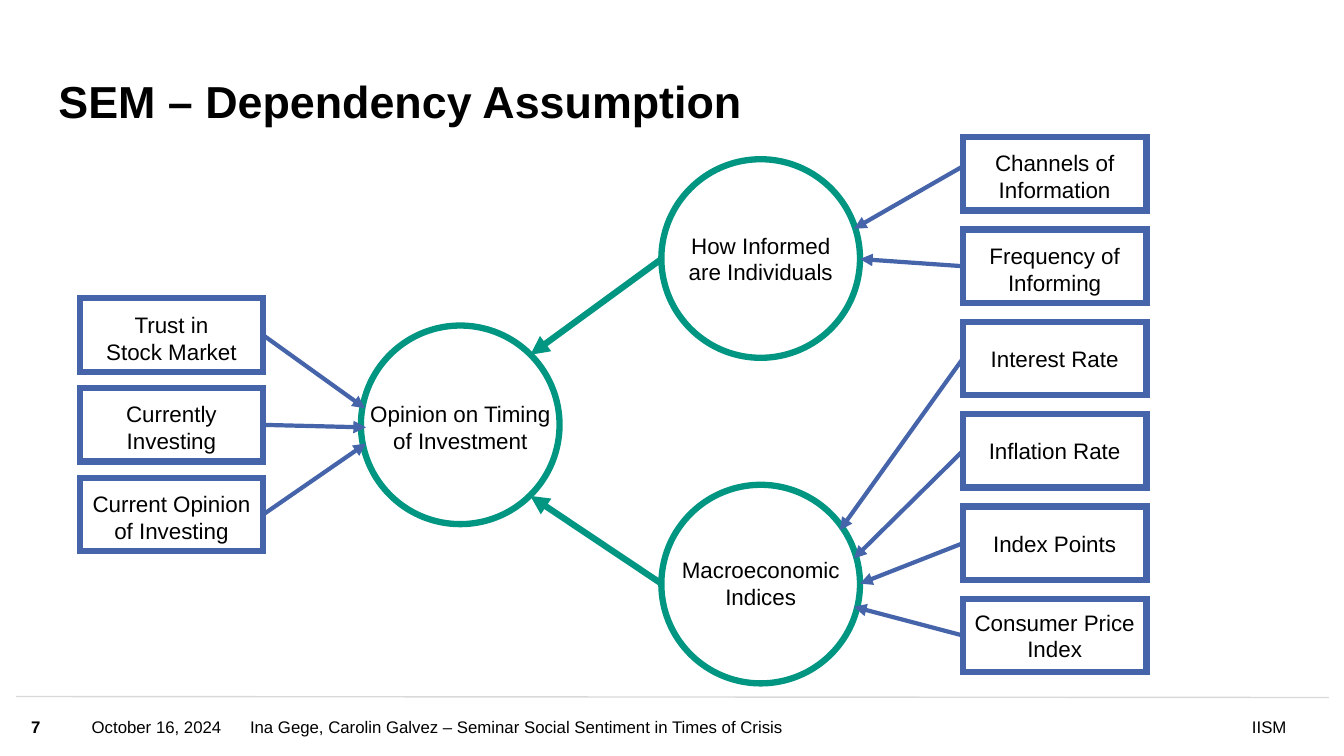
from lxml import etree
from pptx import Presentation
from pptx.dml.color import RGBColor
from pptx.enum.shapes import MSO_CONNECTOR, MSO_SHAPE
from pptx.enum.text import MSO_ANCHOR, PP_ALIGN
from pptx.oxml.ns import qn
from pptx.util import Inches, Pt

BLACK = RGBColor(0x00, 0x00, 0x00)
GREEN = RGBColor(0x00, 0x96, 0x82)
BLUE = RGBColor(0x46, 0x64, 0xAA)
GREY = RGBColor(0xD9, 0xD9, 0xD9)

BOX_WIDTH, BOX_HEIGHT = 1.82, 0.73
CIRCLE_SIZE = 1.97
LEFT_SIDE, RIGHT_SIDE = 1, 3

presentation = Presentation()
presentation.slide_width = Inches(13.33)
presentation.slide_height = Inches(7.5)
slide = presentation.slides.add_slide(presentation.slide_layouts[5])


def write(shape, text, size, align, anchor, margins, bold=False):
    """Fill a shape with one paragraph; margins are left, top, right, bottom."""
    frame = shape.text_frame
    frame.word_wrap = True
    frame.vertical_anchor = anchor
    (frame.margin_left, frame.margin_top,
     frame.margin_right, frame.margin_bottom) = map(Inches, margins)
    paragraph = frame.paragraphs[0]
    paragraph.alignment = align
    run = paragraph.add_run()
    run.text = text
    run.font.name = "Arial"
    run.font.size = Pt(size)
    run.font.bold = bold
    run.font.color.rgb = BLACK
    return paragraph


def add_line(start, end, color, width, arrow=True):
    line = slide.shapes.add_connector(
        MSO_CONNECTOR.STRAIGHT, *map(Inches, start + end))
    line.line.color.rgb = color
    line.line.width = Pt(width)
    if arrow:
        etree.SubElement(line.line._get_or_add_ln(), qn("a:tailEnd"), type="triangle")
    etree.SubElement(line._element.spPr, qn("a:effectLst"))
    return line


# Title
title = slide.shapes.title
title.left, title.top, title.width, title.height = map(
    Inches, (0.58, 0.43, 10.02, 0.84))
title_paragraph = write(title, "SEM – Dependency Assumption", 32, PP_ALIGN.LEFT,
                        MSO_ANCHOR.BOTTOM, (0, 0, 0, 0), bold=True)
title_paragraph.line_spacing = 0.9

# Footer
add_line((0.16, 6.91), (13.18, 6.92), GREY, 1, arrow=False)
footer_items = [
    ("7", 0.31, 0.48, PP_ALIGN.LEFT, True),
    ("October 16, 2024", 0.91, 1.5, PP_ALIGN.LEFT, False),
    ("Ina Gege, Carolin Galvez – Seminar Social Sentiment in Times of Crisis",
     2.48, 5.37, PP_ALIGN.LEFT, False),
    ("IISM", 8.03, 4.73, PP_ALIGN.RIGHT, False),
]
for text, left, width, align, bold in footer_items:
    footer = slide.shapes.add_textbox(
        Inches(left), Inches(6.92), Inches(width), Inches(0.58))
    write(footer, text, 12, align, MSO_ANCHOR.MIDDLE, (0, 0, 0, 0), bold)

# Latent variables: circle position, label width, label offset from circle top
circles = [
    ("Opinion on Timing of Investment", 3.58, 3.23, 2.12, 0.69),
    ("How Informed are Individuals", 6.56, 1.58, 1.65, 0.67),
    ("Macroeconomic Indices", 6.56, 4.81, 1.86, 0.66),
]
for text, left, top, label_width, label_offset in circles:
    circle = slide.shapes.add_shape(
        MSO_SHAPE.OVAL, Inches(left), Inches(top),
        Inches(CIRCLE_SIZE), Inches(CIRCLE_SIZE))
    circle.shadow.inherit = False
    circle.fill.background()
    circle.line.color.rgb = GREEN
    circle.line.width = Pt(4.5)
    label = slide.shapes.add_textbox(
        Inches(left + (CIRCLE_SIZE - label_width) / 2), Inches(top + label_offset),
        Inches(label_width), Inches(0.64))
    write(label, text, 16, PP_ALIGN.CENTER, MSO_ANCHOR.TOP, (0.1, 0.05, 0.1, 0.05))

add_line((6.56, 2.57), (5.26, 3.52), GREEN, 4.5)
add_line((6.56, 5.79), (5.26, 4.92), GREEN, 4.5)

# Indicators: text, side margin, top margin, arrow tip on the circle
left_boxes = [
    ("Trust in Stock Market", 0.25, 0.1, (3.62, 4.05)),
    ("Currently Investing", 0.1, 0.1, (3.63, 4.24)),
    ("Current Opinion of Investing", 0.1, 0.1, (3.63, 4.4)),
]
right_boxes = [
    ("Channels of Information", 0.1, 0.1, (8.47, 2.27)),
    ("Frequency of Informing", 0.1, 0.1, (8.53, 2.57)),
    ("Interest Rate", 0.1, 0.05, (8.33, 5.26)),
    ("Inflation Rate", 0.1, 0.05, (8.47, 5.54)),
    ("Index Points", 0.1, 0.05, (8.53, 5.79)),
    ("Consumer Price Index", 0.1, 0.05, (8.47, 6.02)),
]
columns = [
    (left_boxes, 0.79, 2.96, 4.74, RIGHT_SIDE),
    (right_boxes, 9.55, 1.36, 5.94, LEFT_SIDE),
]
for boxes, left, first_top, last_top, arrow_side in columns:
    step = (last_top - first_top) / (len(boxes) - 1)
    for row, (text, side_margin, top_margin, tip) in enumerate(boxes):
        top = first_top + row * step
        box = slide.shapes.add_shape(
            MSO_SHAPE.RECTANGLE, Inches(left), Inches(top),
            Inches(BOX_WIDTH), Inches(BOX_HEIGHT))
        box.shadow.inherit = False
        box.fill.background()
        box.line.color.rgb = BLUE
        box.line.width = Pt(4.5)
        etree.SubElement(box.line._get_or_add_ln(), qn("a:miter"), lim="800000")
        write(box, text, 16, PP_ALIGN.CENTER, MSO_ANCHOR.MIDDLE,
              (side_margin, top_margin, side_margin, 0.05))
        if text == "Channels of Information":
            # This arrow leaves slightly above the middle of its box
            add_line((left, 1.65), tip, BLUE, 3)
        else:
            arrow = add_line((left, top), tip, BLUE, 3)
            arrow.begin_connect(box, arrow_side)

presentation.save("out.pptx")
